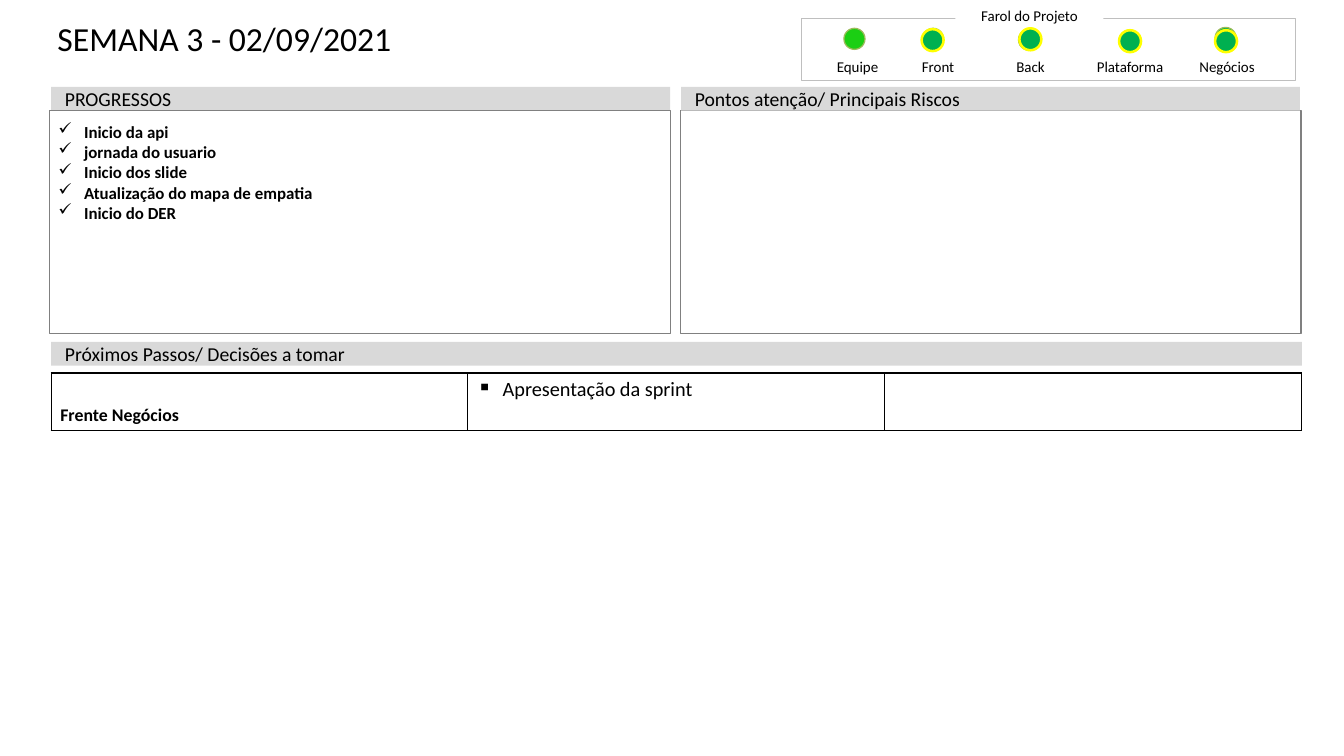
from pptx import Presentation
from pptx import util as u
from pptx.dml.color import RGBColor
from pptx.enum import shapes, text
from pptx.oxml import parse_xml
from pptx.oxml.ns import nsdecls

Pt = u.Pt
FONT = "Calibri"
COLORS = {"text": "000000", "header": "D9D9D9", "frame": "808080",
          "farol": "BFBFBF", "white": "FFFFFF", "green": "00B050",
          "bright": "1BCF13", "rim": "9BBB59", "yellow": "FFFF00"}

TITLE = "SEMANA 3 - 02/09/2021"
HEADERS = [("PROGRESSOS", (40.3, 68.4, 487.4, 18.7)),
           ("Pontos atenção/ Principais Riscos", (536.4, 68.4, 487.4, 18.7)),
           ("Próximos Passos/ Decisões a tomar", (40.3, 269.3, 985, 18.7))]
PROGRESS = ["Inicio da api", "jornada do usuario", "Inicio dos slide",
            "Atualização do mapa de empatia", "Inicio do DER"]
NEXT_STEPS = ["Frente Negócios", "Apresentação da sprint", ""]
FAROL = "Farol do Projeto"
# label, label left, light colour, light position, yellow ring position
LIGHTS = [("Equipe", 640, "bright", (664.6, 22.3), None),
          ("Front", 703.4, "green", (726.5, 22.3), (725.8, 23)),
          ("Back", 776.2, "green", (802.1, 23), (802.8, 22.3)),
          ("Plataforma", 854.6, "green", (881.3, 23.8), (881.3, 23.8)),
          ("Negócios", 931, "green", (956.9, 21.6), (956.9, 23.8))]

prs = Presentation()
prs.slide_width, prs.slide_height = Pt(1058.4), Pt(595.44)
s = prs.slides.add_slide(prs.slide_layouts[6])


def rgb(name):
    return RGBColor.from_string(COLORS[name])


def add_shape(box, fill=None, line=None, width=1, kind="RECTANGLE"):
    sp = s.shapes.add_shape(shapes.MSO_SHAPE[kind], *map(Pt, box))
    sp.shadow.inherit = False
    if fill:
        sp.fill.solid()
        sp.fill.fore_color.rgb = rgb(fill)
    else:
        sp.fill.background()
    if line:
        sp.line.color.rgb = rgb(line)
        sp.line.width = Pt(width)
    else:
        sp.line.fill.background()
    return sp


def add_textbox(box):
    return s.shapes.add_textbox(*map(Pt, box))


def set_frame(sp, insets, anchor="TOP", wrap=True):
    tf = sp.text_frame
    tf.margin_left, tf.margin_top, tf.margin_right, tf.margin_bottom = map(Pt, insets)
    tf.vertical_anchor = text.MSO_ANCHOR[anchor]
    tf.word_wrap = wrap
    return tf


def write(tf, lines, size, bold=False, align="LEFT", bullet=None):
    for i, line in enumerate(lines):
        p = tf.add_paragraph() if i else tf.paragraphs[0]
        p.alignment = text.PP_ALIGN[align]
        if bullet:
            pPr = p._p.get_or_add_pPr()
            pPr.set("marL", str(Pt(20.2)))
            pPr.set("indent", str(-Pt(20.2)))
            pPr.append(parse_xml(f'<a:buClr {nsdecls("a")}><a:srgbClr val="{COLORS["text"]}"/></a:buClr>'))
            pPr.append(parse_xml(f'<a:buChar {nsdecls("a")} char="{bullet}"/>'))
        r = p.add_run()
        r.text = line
        r.font.name, r.font.size, r.font.bold = FONT, Pt(size), bold
        r.font.color.rgb = rgb("text")


def add_label(sp, label):
    write(set_frame(sp, (4.3, 4.3, 4.3, 0), "BOTTOM", False), [label], 11.8, align="CENTER")


def set_borders(cell):
    tcPr = cell._tc.get_or_add_tcPr()
    for i, side in enumerate("LRTB"):
        tcPr.insert(i, parse_xml(
            f'<a:ln{side} {nsdecls("a")} w="{Pt(1)}"><a:solidFill>'
            f'<a:srgbClr val="{COLORS["text"]}"/></a:solidFill></a:ln{side}>'))


# Title, section headers and panels
add_shape((535.7, 87.1, 488.9, 175.7), line="frame")
title = set_frame(add_textbox((36.7, 14.4, 952.6, 62.6)), (8.6, 0, 8.6, 0))
write(title, [TITLE], 26.5)
for header, box in HEADERS:
    sp = add_shape(box, "header")
    write(set_frame(sp, (10.8, 5, 10.8, 5), "MIDDLE"), [header], 15.5)
progress = add_shape((38.9, 87.1, 488.9, 175.7), line="frame")
write(set_frame(progress, (7.2, 8.6, 7.2, 3.6)), PROGRESS, 13.3, True, bullet="✓")

# Next steps
table = s.shapes.add_table(1, 3, Pt(40.3), Pt(293.8), Pt(984.6), Pt(45.4)).table
table.first_row = table.horz_banding = False
for cell, step in zip(table.rows[0].cells, NEXT_STEPS):
    cell.fill.background()
    set_borders(cell)
first, second, _ = table.rows[0].cells
first.vertical_anchor = text.MSO_ANCHOR.BOTTOM
write(first.text_frame, NEXT_STEPS[:1], 14, True)
write(second.text_frame, NEXT_STEPS[1:2], 16, bullet="▪")

# Project status lights
add_shape((631.4, 14.4, 388.8, 49), line="farol", width=0.5)
add_label(add_shape((752.4, 2.9, 116.6, 16.6), "white"), FAROL)
for label, left, color, light, ring in LIGHTS:
    add_label(add_textbox((left, 45.4, 70.6, 14.4)), label)
    add_shape((*light, 16.6, 16.6), color, "rim", kind="OVAL")
    if ring:
        add_shape((*ring, 17.3, 17.3), "green", "yellow", 2, "OVAL")

prs.save("out.pptx")
